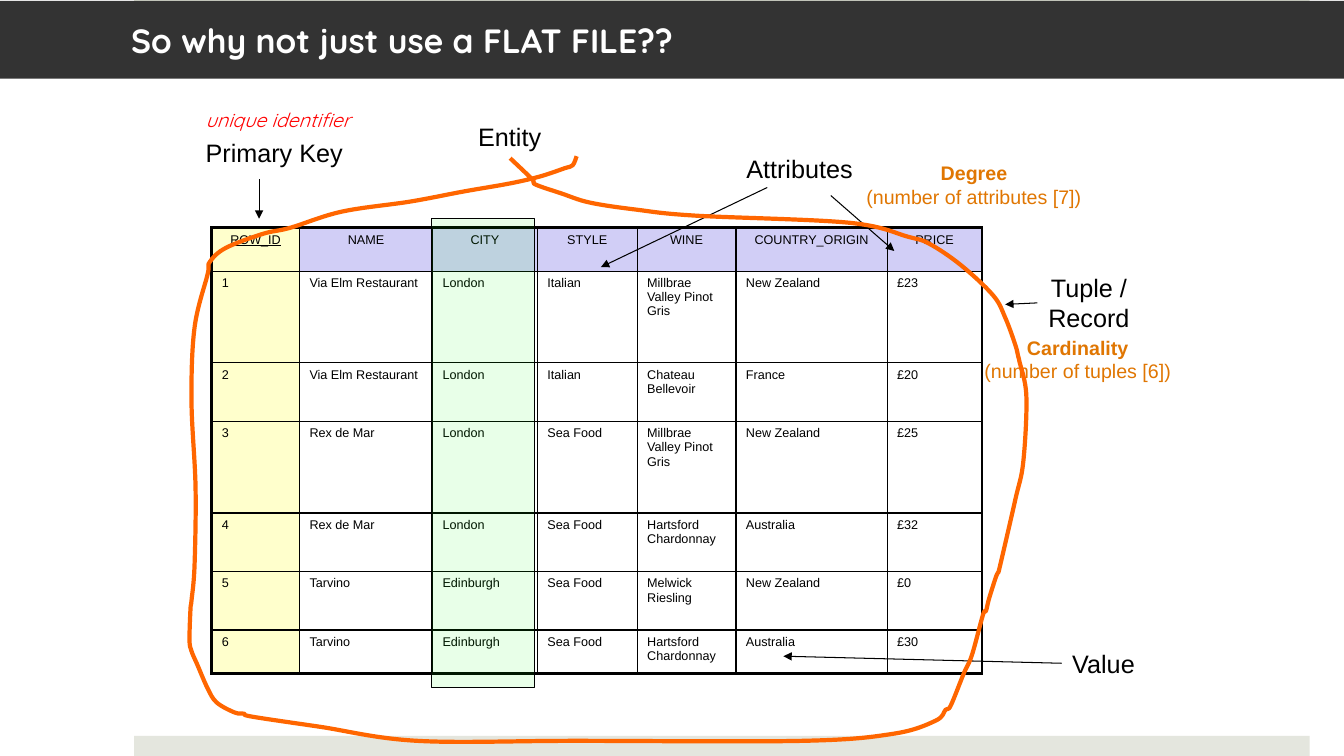
from itertools import accumulate
from lxml.etree import SubElement
from pptx import Presentation
from pptx.dml.color import RGBColor
from pptx.enum.shapes import MSO_CONNECTOR, MSO_SHAPE
from pptx.enum.text import MSO_ANCHOR, MSO_AUTO_SIZE, PP_ALIGN
from pptx.oxml.ns import qn
from pptx.util import Pt

PX = 9144
BLACK, ORANGE, AMBER = "000000", "FF6600", "E07602"
KEY_FILL, HEADER_FILL = "FFFFCC", "D1CEF6"
TABLE_LEFT, TABLE_TOP = 210, 226
COLUMN_WIDTHS = [87, 132, 104, 99, 98, 150, 94]
ROW_HEIGHTS = [43, 91, 58, 91, 58, 58, 43]
RECORDS = [
    ["ROW_ID", "NAME", "CITY", "STYLE", "WINE", "COUNTRY_ORIGIN", "PRICE"],
    ["1", "Via Elm Restaurant", "London", "Italian", "Millbrae Valley Pinot Gris", "New Zealand", "£23"],
    ["2", "Via Elm Restaurant", "London", "Italian", "Chateau Bellevoir", "France", "£20"],
    ["3", "Rex de Mar", "London", "Sea Food", "Millbrae Valley Pinot Gris", "New Zealand", "£25"],
    ["4", "Rex de Mar", "London", "Sea Food", "Hartsford Chardonnay", "Australia", "£32"],
    ["5", "Tarvino", "Edinburgh", "Sea Food", "Melwick Riesling", "New Zealand", "£0"],
    ["6", "Tarvino", "Edinburgh", "Sea Food", "Hartsford Chardonnay", "Australia", "£30"],
]
ENTITY_LOOP = [
    (506, 157), (528, 178), (531, 183), (557, 192), (585, 201), (631, 208), (690, 214),
    (842, 221), (901, 235), (922, 242), (953, 263), (985, 293), (997, 315),
    (1007, 342), (1010, 354), (1011, 358), (1018, 393), (1015, 458), (1007, 496),
    (992, 561), (990, 568), (988, 572), (981, 594), (978, 606), (975, 610), (964, 650),
    (956, 668), (943, 700), (938, 704), (928, 715), (886, 728), (796, 735), (571, 735),
    (414, 735), (317, 721), (250, 711), (242, 708), (233, 707), (215, 697), (206, 683),
    (196, 660), (190, 646), (188, 635), (189, 604), (190, 596), (193, 561), (194, 483),
    (190, 398), (193, 325), (206, 272), (208, 260), (224, 246), (261, 232), (288, 226),
    (339, 210), (407, 200), (460, 190), (506, 182), (536, 175), (560, 167), (568, 164),
    (572, 155),
]


def px(length):
    return round(length * PX)


def color(hex_code):
    return RGBColor.from_string(hex_code)


def write(paragraph, text, font="Arial", size=18, ink=BLACK, bold=False,
          italic=False, underline=False, align=PP_ALIGN.CENTER):
    paragraph.text = text
    paragraph.alignment = align
    for run in paragraph.runs:
        run.font.name = font
        run.font.size = Pt(size)
        run.font.color.rgb = color(ink)
        run.font.bold = bold
        run.font.italic = italic
        run.font.underline = underline


def add_label(slide, box, *lines, wrap=False, **text_format):
    label = slide.shapes.add_textbox(*map(px, box))
    frame = label.text_frame
    frame.word_wrap = wrap
    for index, line in enumerate(lines):
        paragraph = frame.add_paragraph() if index else frame.paragraphs[0]
        write(paragraph, line, **text_format)
    return label


def add_measure(slide, box, term, meaning):
    measure = add_label(slide, box, term, meaning, size=14, ink=AMBER)
    measure.text_frame.paragraphs[0].runs[0].font.bold = True


def add_arrow(slide, start, end, source=None):
    arrow = slide.shapes.add_connector(MSO_CONNECTOR.STRAIGHT, *map(px, start + end))
    if source is not None:
        arrow.begin_connect(source, 1)
    arrow.line.color.rgb = color(BLACK)
    arrow.line.width = Pt(0.75)
    SubElement(arrow.line._get_or_add_ln(), qn("a:tailEnd"), type="triangle")
    SubElement(arrow._element.spPr, qn("a:effectLst"))


def add_rectangle(slide, box, fill):
    rectangle = slide.shapes.add_shape(MSO_SHAPE.RECTANGLE, *map(px, box))
    rectangle.shadow.inherit = False
    rectangle.fill.solid()
    rectangle.fill.fore_color.rgb = color(fill)
    rectangle.line.fill.background()
    return rectangle


def add_title(slide, text):
    title = slide.shapes.title
    for bar_box, bar_fill in (((133, 0, 1166, 20), "D6D9CD"), ((133, 730, 1166, 20), "E4E6DE")):
        title._element.addprevious(add_rectangle(slide, bar_box, bar_fill)._element)
    title.left, title.top, title.width, title.height = map(px, (0, 1, 1333, 77))
    title.fill.solid()
    title.fill.fore_color.rgb = color("333333")
    frame = title.text_frame
    frame.auto_size = MSO_AUTO_SIZE.NONE
    frame.vertical_anchor = MSO_ANCHOR.MIDDLE
    frame.margin_left, frame.margin_right = px(130), px(30)
    write(frame.paragraphs[0], text, font="Quicksand", size=24, ink="FFFFFF",
          bold=True, align=PP_ALIGN.LEFT)


def set_borders(cell, outer_sides):
    properties = cell._tc.get_or_add_tcPr()
    for side in "LRTB":
        width = Pt(2.25 if side in outer_sides else 1)
        border = SubElement(properties, qn(f"a:ln{side}"), w=str(width))
        fill = SubElement(border, qn("a:solidFill"))
        SubElement(fill, qn("a:srgbClr"), val=BLACK)


def add_flat_file(slide):
    rows, columns = len(ROW_HEIGHTS), len(COLUMN_WIDTHS)
    box = (TABLE_LEFT, TABLE_TOP, sum(COLUMN_WIDTHS), sum(ROW_HEIGHTS))
    table = slide.shapes.add_table(rows, columns, *map(px, box)).table
    table.first_row = table.horz_banding = False
    for column, width in zip(table.columns, COLUMN_WIDTHS):
        column.width = px(width)
    for row, height in zip(table.rows, ROW_HEIGHTS):
        row.height = px(height)
    for r, record in enumerate(RECORDS):
        for c, value in enumerate(record):
            cell = table.cell(r, c)
            edges = {"L": c == 0, "R": c == columns - 1, "T": r == 0, "B": r == rows - 1}
            set_borders(cell, [side for side, is_outer in edges.items() if is_outer])
            if c == 0 or r == 0:
                cell.fill.solid()
                cell.fill.fore_color.rgb = color(KEY_FILL if c == 0 else HEADER_FILL)
            else:
                cell.fill.background()
            write(cell.text_frame.paragraphs[0], value, size=9, underline=r == c == 0,
                  align=PP_ALIGN.CENTER if r == 0 else PP_ALIGN.LEFT)


def round_corners(freeform):
    outline = next(freeform._element.iter(qn("a:path")))
    knots = [(int(pt.get("x")), int(pt.get("y"))) for pt in outline.iter(qn("a:pt"))]
    for segment in outline.findall(qn("a:lnTo")):
        outline.remove(segment)
    padded = [knots[0], *knots, knots[-1]]
    for before, start, end, after in zip(padded, padded[1:], padded[2:], padded[3:]):
        leaving = [s + (e - b) / 6 for b, s, e in zip(before, start, end)]
        arriving = [e - (a - s) / 6 for s, e, a in zip(start, end, after)]
        curve = SubElement(outline, qn("a:cubicBezTo"))
        for x, y in (leaving, arriving, end):
            SubElement(curve, qn("a:pt"), x=str(round(x)), y=str(round(y)))


def add_entity_loop(slide):
    knots = [(px(x), px(y)) for x, y in ENTITY_LOOP]
    builder = slide.shapes.build_freeform(*knots[0])
    builder.add_line_segments(knots[1:], close=False)
    loop = builder.convert_to_shape()
    round_corners(loop)
    loop.shadow.inherit = False
    loop.fill.background()
    loop.line.color.rgb = color(ORANGE)
    loop.line.width = Pt(3)


def add_city_highlight(slide):
    city_left = TABLE_LEFT + list(accumulate(COLUMN_WIDTHS))[1]
    highlight = add_rectangle(slide, (city_left - 1, 217, 102, 465), "00FF00")
    tint = highlight._element.spPr.find(qn("a:solidFill")).find(qn("a:srgbClr"))
    SubElement(tint, qn("a:alpha"), val="9000")
    highlight.line.color.rgb = color(BLACK)
    highlight.line.width = Pt(0.75)


def main():
    deck = Presentation()
    deck.slide_width, deck.slide_height = px(1333), px(750)
    slide = deck.slides.add_slide(deck.slide_layouts[5])
    add_title(slide, "So why not just use a FLAT FILE??")
    add_flat_file(slide)
    value = add_label(slide, (1053, 638, 83, 40), "Value")
    add_arrow(slide, (1053, 658), (777, 651), value)
    add_label(slide, (194, 131, 156, 40), "Primary Key")
    add_arrow(slide, (257, 178), (257, 217))
    record = add_label(slide, (1029, 265, 102, 71), "Tuple /\nRecord")
    add_arrow(slide, (1029, 301), (997, 302), record)
    add_measure(slide, (966, 328, 206, 57), "Cardinality", "(number of tuples [6])")
    add_measure(slide, (849, 155, 234, 57), "Degree", "(number of attributes [7])")
    add_label(slide, (730, 147, 126, 40), "Attributes")
    add_arrow(slide, (824, 194), (887, 249))
    add_arrow(slide, (761, 186), (596, 265))
    add_city_highlight(slide)
    add_entity_loop(slide)
    add_label(slide, (464, 115, 83, 40), "Entity")
    add_label(slide, (194, 102, 244, 34), "unique identifier", wrap=True, font="Quicksand",
              size=14, ink="FF0000", italic=True, align=PP_ALIGN.LEFT)
    deck.save("out.pptx")


if __name__ == "__main__":
    main()
